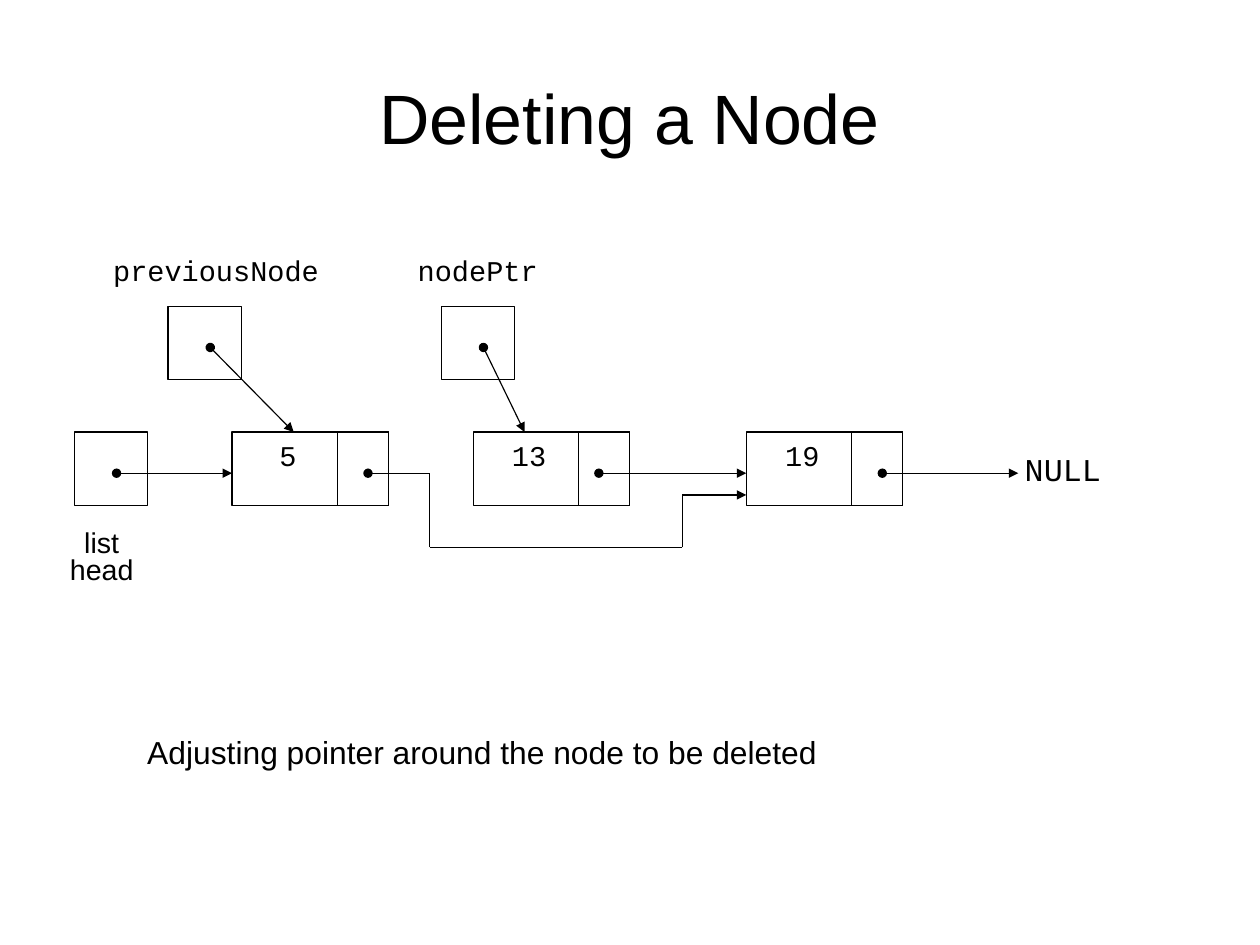
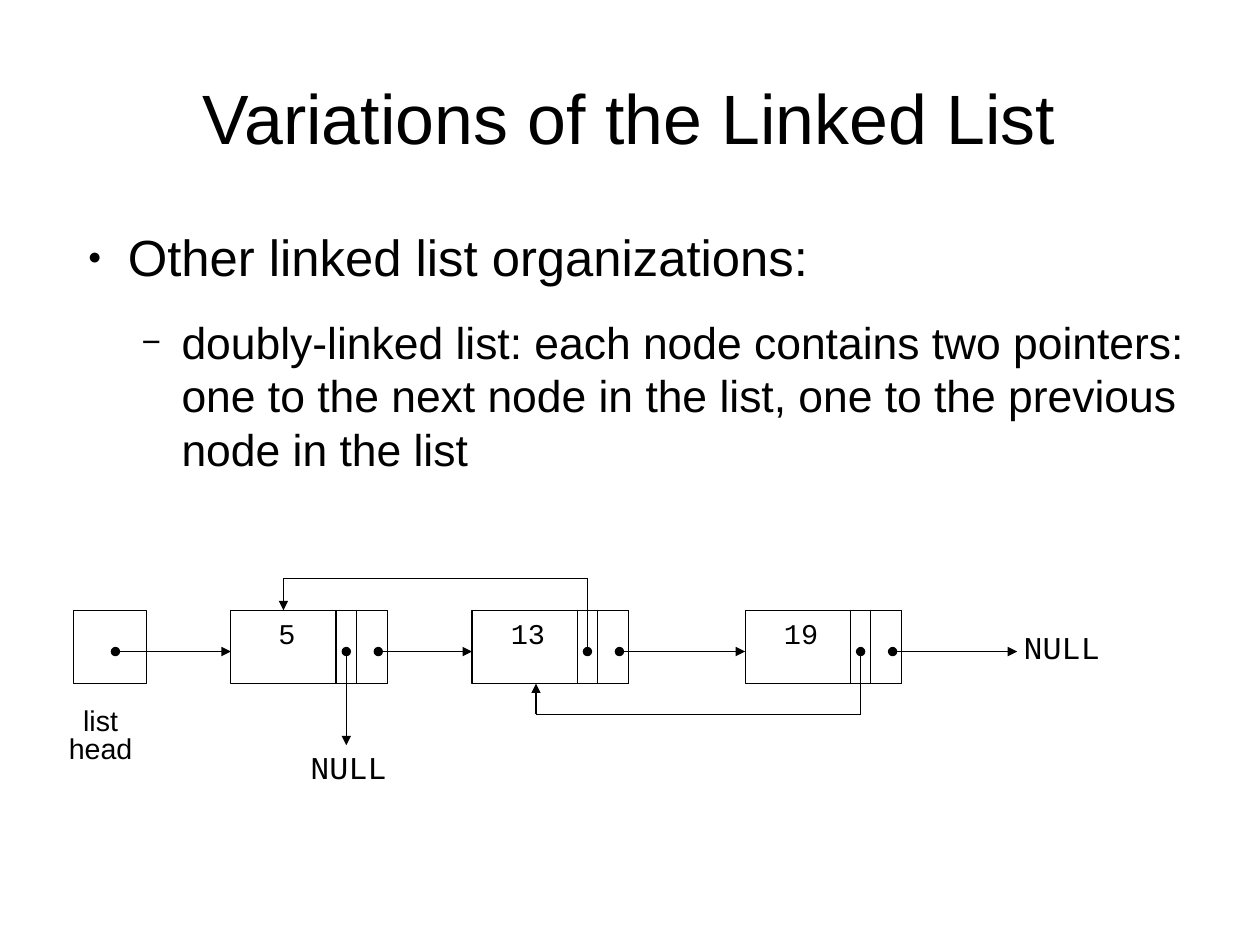
from dataclasses import dataclass
from itertools import pairwise

from lxml import etree
from pptx import Presentation
from pptx.dml.color import RGBColor
from pptx.enum.shapes import MSO_CONNECTOR, MSO_SHAPE
from pptx.enum.text import MSO_ANCHOR, PP_ALIGN
from pptx.oxml.ns import qn
from pptx.util import Inches, Pt

LEFT, CENTER = PP_ALIGN.LEFT, PP_ALIGN.CENTER
TOP, MIDDLE = MSO_ANCHOR.TOP, MSO_ANCHOR.MIDDLE
RECTANGLE, STRAIGHT = MSO_SHAPE.RECTANGLE, MSO_CONNECTOR.STRAIGHT


@dataclass(frozen=True)
class Theme:
    ink: str = "000000"
    paper: str = "FFFFFF"
    sans: str = "Arial"
    mono: str = "Courier New"
    title: int = 44
    caption: int = 20
    label: int = 18
    line: float = 0.75


THEME = Theme()
SLIDE_WIDTH, SLIDE_HEIGHT = Pt(793.75), Pt(595.25)
TITLE_BOX = (0.55, 0.33, 9.92, 1.38)

# Diagram measures, relative to the top left corner of the list head
BOX = 0.64
NODE_WIDTH = 1.37
LINK_LEFT, LINK_WIDTH, BACK_WIDTH = 0.92, 0.45, 0.18
VALUE_CENTER = 0.49
DOT = 0.36
NULL_LEFT, NULL_CENTER, NULL_TOP = 8.26, 8.65, 0.04
NODES = [("5", 1.38), ("13", 3.49), ("19", 5.88)]
FIRST, SECOND, THIRD = (left for _, left in NODES)
BACK_DOT = LINK_LEFT + BACK_WIDTH / 2

# Content
DELETING = {
    "title": "Deleting a Node",
    "caption": ("Adjusting pointer around the node to be deleted", (1.19, 6.43, 6.53, 0.37)),
    "origin": (0.65, 3.78),
    "doubly": False,
    # name, label centre, box left, arrow target
    "pointers": [("previousNode", 1.24, 0.82, 1.92), ("nodePtr", 3.53, 3.21, 3.94)],
    "routes": [
        [(FIRST + 1.19, DOT), (3.11, DOT), (3.11, 1.01),
         (5.32, 1.01), (5.32, 0.55), (THIRD, 0.55)],
        [(SECOND + 1.1, DOT), (THIRD, DOT)],
        [(THIRD + 1.19, DOT), (NULL_LEFT, DOT)],
    ],
    "nulls": [(NULL_CENTER, NULL_TOP)],
}
VARIATIONS = {
    "title": "Variations of the Linked List",
    "bullets": [
        {"text": "Other linked list organizations:", "size": 32, "bullet": "●",
         "percent": 45, "margin": 0.47, "before": 0},
        {"text": "doubly-linked list: each node contains two pointers: one to the next "
                 "node in the list, one to the previous node in the list",
         "size": 28, "bullet": "−", "percent": 75, "margin": 0.94, "before": 17.5},
    ],
    "origin": (0.64, 5.34),
    "doubly": True,
    "routes": [
        *([(start + 1.29, DOT), (end, DOT)]
          for start, end in pairwise([FIRST, SECOND, THIRD, NULL_LEFT])),
        [(FIRST + BACK_DOT, DOT), (FIRST + BACK_DOT, 1.18)],
        [(SECOND + BACK_DOT, DOT), (SECOND + BACK_DOT, -0.28), (1.84, -0.28), (1.84, 0)],
        [(THIRD + BACK_DOT, DOT), (THIRD + BACK_DOT, 0.91), (4.05, 0.91), (4.05, BOX)],
    ],
    "nulls": [(NULL_CENTER, NULL_TOP), (2.41, 1.09)],
}


def add_bullet(paragraph, character, percent, margin):
    properties = paragraph._p.get_or_add_pPr()
    properties.set("marL", str(Inches(margin)))
    properties.set("indent", str(Inches(-0.35)))
    color = etree.SubElement(properties, qn("a:buClr"))
    etree.SubElement(color, qn("a:srgbClr"), val=THEME.ink)
    etree.SubElement(properties, qn("a:buSzPct"), val=str(percent * 1000))
    etree.SubElement(properties, qn("a:buFont"), typeface=THEME.sans)
    etree.SubElement(properties, qn("a:buChar"), char=character)


def add_text(slide, box, lines, *, size=THEME.label, font=THEME.sans,
             align=CENTER, anchor=TOP, spacing=1.0):
    """Each line is a string, or a dict with its own size and bullet."""
    frame = slide.shapes.add_textbox(*map(Inches, box)).text_frame
    frame.word_wrap = True
    frame.vertical_anchor = anchor
    for index, line in enumerate(lines):
        item = line if isinstance(line, dict) else {"text": line}
        paragraph = frame.paragraphs[0] if index == 0 else frame.add_paragraph()
        if "bullet" in item:
            add_bullet(paragraph, item["bullet"], item["percent"], item["margin"])
        paragraph.alignment = align
        paragraph.line_spacing = spacing
        paragraph.space_before = Pt(item.get("before", 0))
        run = paragraph.add_run()
        run.text = item["text"]
        run.font.name = font
        run.font.size = Pt(item.get("size", size))
        run.font.color.rgb = RGBColor.from_string(THEME.ink)


class Diagram:
    """Draws list parts at places relative to the list head."""

    def __init__(self, slide, origin):
        self.slide = slide
        self.left, self.top = origin

    def box(self, left, top, width):
        shape = self.slide.shapes.add_shape(
            RECTANGLE, Inches(self.left + left), Inches(self.top + top),
            Inches(width), Inches(BOX))
        shape.shadow.inherit = False
        shape.fill.background()
        shape.line.color.rgb = RGBColor.from_string(THEME.ink)
        shape.line.width = Pt(THEME.line)

    def label(self, center, top, *lines, width=1.2, height=0.4, **text_format):
        place = (self.left + center - width / 2, self.top + top, width, height)
        add_text(self.slide, place, lines, **text_format)

    def route(self, points):
        """Straight pieces with a dot at the start and an arrowhead at the end."""
        pieces = list(pairwise(points))
        for index, piece in enumerate(pieces):
            ends = [Inches(base + value) for point in piece
                    for base, value in zip((self.left, self.top), point)]
            connector = self.slide.shapes.add_connector(STRAIGHT, *ends)
            connector.line.color.rgb = RGBColor.from_string(THEME.ink)
            connector.line.width = Pt(THEME.line)
            line = connector.line._get_or_add_ln()
            if index == 0:
                etree.SubElement(line, qn("a:headEnd"), type="oval")
            if index == len(pieces) - 1:
                etree.SubElement(line, qn("a:tailEnd"), type="triangle")
            etree.SubElement(connector._element.spPr, qn("a:effectLst"))


def draw_list(slide, content):
    diagram = Diagram(slide, content["origin"])

    # List head
    diagram.box(0, 0, BOX)
    diagram.label(0.24, 0.82, "list", "head", height=0.58, spacing=0.8)
    diagram.route([(0.37, DOT), (FIRST, DOT)])

    # Nodes with their link cells
    for value, left in NODES:
        diagram.box(left, 0, NODE_WIDTH)
        diagram.box(left + LINK_LEFT, 0, LINK_WIDTH)
        if content["doubly"]:
            diagram.box(left + LINK_LEFT, 0, BACK_WIDTH)
        diagram.label(left + VALUE_CENTER, 0, value, width=0.8, font=THEME.mono)

    # Named pointers above the list
    for name, center, left, target in content.get("pointers", []):
        diagram.label(center, -1.56, name, width=2.4, height=0.34,
                      font=THEME.mono, spacing=0.8)
        diagram.box(left, -1.1, BOX)
        diagram.route([(left + 0.37, DOT - 1.1), (target, 0)])

    # Links and list ends
    for points in content["routes"]:
        diagram.route(points)
    for center, top in content["nulls"]:
        diagram.label(center, top, "NULL", height=0.5, size=THEME.caption,
                      font=THEME.mono, spacing=1.2)


def build_slide(presentation, content):
    slide = presentation.slides.add_slide(presentation.slide_layouts[6])
    slide.background.fill.solid()
    slide.background.fill.fore_color.rgb = RGBColor.from_string(THEME.paper)
    add_text(slide, TITLE_BOX, [content["title"]], size=THEME.title, anchor=MIDDLE)
    if "bullets" in content:
        add_text(slide, (0.55, 1.93, 10.01, 2.57), content["bullets"], align=LEFT)
    if "caption" in content:
        text, place = content["caption"]
        add_text(slide, place, [text], size=THEME.caption, align=LEFT, spacing=0.8)
    draw_list(slide, content)


def main():
    presentation = Presentation()
    presentation.slide_width = SLIDE_WIDTH
    presentation.slide_height = SLIDE_HEIGHT
    for content in (DELETING, VARIATIONS):
        build_slide(presentation, content)
    presentation.save("out.pptx")


if __name__ == "__main__":
    main()
